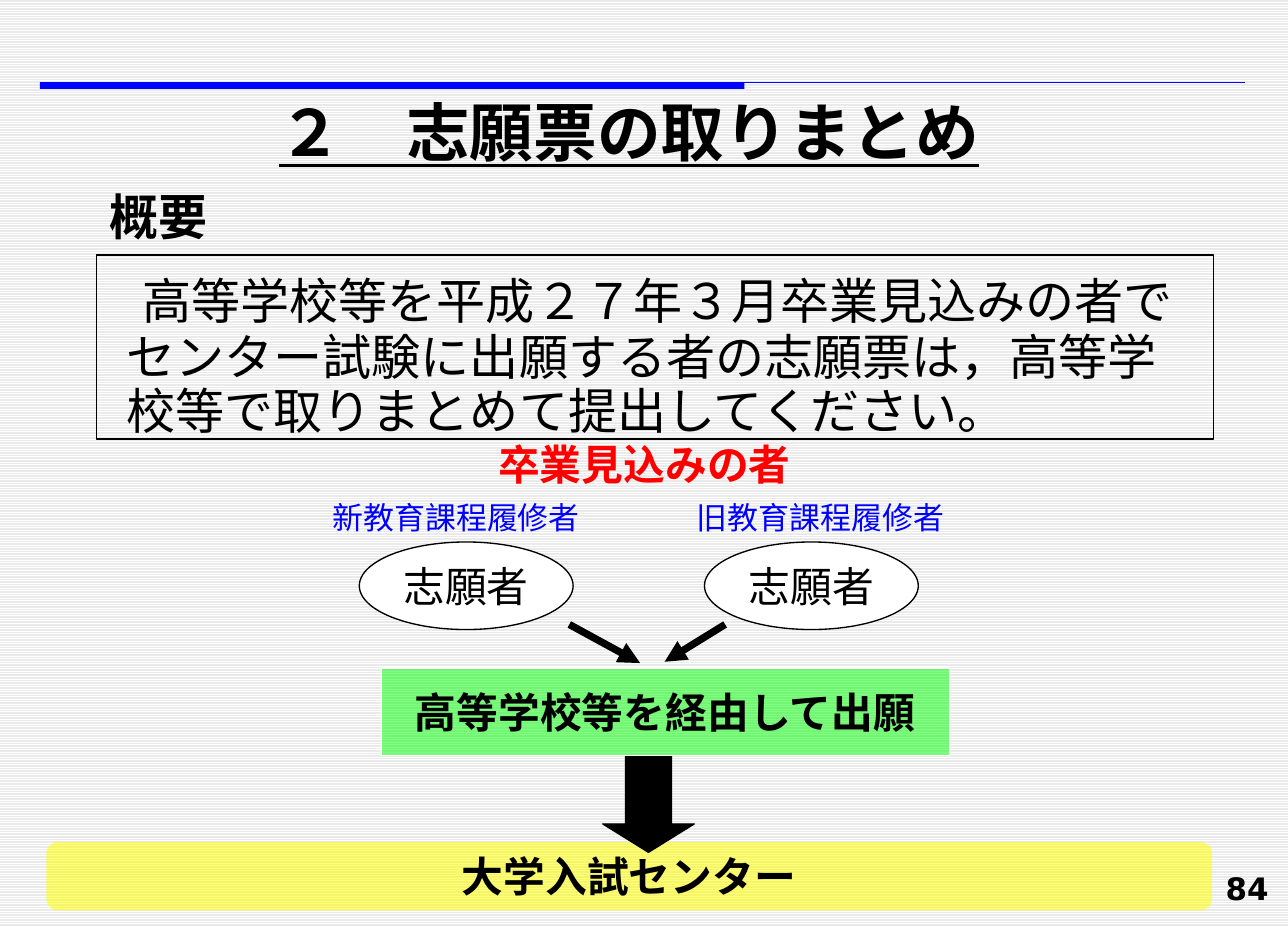
from dataclasses import dataclass

from lxml.etree import SubElement
from pptx import Presentation
from pptx.dml.color import RGBColor
from pptx.enum.dml import MSO_PATTERN
from pptx.enum.shapes import MSO_CONNECTOR, MSO_SHAPE as Geometry
from pptx.enum.text import MSO_ANCHOR as Anchor, MSO_AUTO_SIZE, PP_ALIGN as Align
from pptx.oxml.ns import qn
from pptx.util import Emu, Pt

PX = 9000
GOTHIC = "Noto Sans CJK JP"
BLACK, WHITE, BLUE, RED = "000000", "FFFFFF", "0000FF", "FF0000"


@dataclass
class Box:
    """Place and size in px."""
    left: int
    top: int
    width: int
    height: int

    def emu(self) -> list[Emu]:
        """Return the four lengths in EMU."""
        return [Emu(n * PX) for n in (self.left, self.top, self.width, self.height)]


@dataclass
class Words:
    """One run of text and its format."""
    text: str
    size: int
    color: str = BLACK
    bold: bool = False
    font: str = GOTHIC
    underline: bool = False


@dataclass
class Label:
    """Free-standing text."""
    box: Box
    words: Words
    align: Align = Align.LEFT


@dataclass
class Node:
    """Preset shape of the flow."""
    geometry: Geometry
    box: Box
    fill: str | None = None
    line: str | None = None
    words: Words | None = None
    opacity: int = 100


@dataclass
class Stroke:
    """Straight line, with or without an arrowhead."""
    start: tuple[int, int]
    end: tuple[int, int]
    color: str
    width: float
    arrow: bool = False


def rgb(color: str) -> RGBColor:
    """Turn a hex string into a colour."""
    return RGBColor.from_string(color)


def add_run(paragraph, words: Words) -> None:
    """Append one formatted run."""
    run = paragraph.add_run()
    run.text = words.text
    font = run.font
    font.size, font.name = Pt(words.size), words.font
    font.bold, font.underline = words.bold, words.underline
    font.color.rgb = rgb(words.color)
    SubElement(run._r.get_or_add_rPr(), qn("a:ea"), typeface=GOTHIC)


def set_frame(frame, align: Align, anchor: Anchor = Anchor.MIDDLE, wrap: bool = True):
    """Prepare a text frame and return its first paragraph."""
    frame.word_wrap = wrap
    frame.auto_size = MSO_AUTO_SIZE.NONE
    frame.vertical_anchor = anchor
    paragraph = frame.paragraphs[0]
    paragraph.alignment = align
    return paragraph


def place(shape, box: Box) -> None:
    """Move a placeholder."""
    shape.left, shape.top, shape.width, shape.height = box.emu()


def add_label(slide, label: Label) -> None:
    """Draw a text box."""
    frame = slide.shapes.add_textbox(*label.box.emu()).text_frame
    add_run(set_frame(frame, label.align), label.words)


def add_node(slide, node: Node):
    """Draw a preset shape and return it."""
    shape = slide.shapes.add_shape(node.geometry, *node.box.emu())
    shape.shadow.inherit = False
    if node.fill:
        shape.fill.solid()
        shape.fill.fore_color.rgb = rgb(node.fill)
        if node.opacity < 100:
            tint = shape._element.spPr.find(f"{qn('a:solidFill')}/{qn('a:srgbClr')}")
            SubElement(tint, qn("a:alpha"), val=str(node.opacity * 1000))
    else:
        shape.fill.background()
    if node.line:
        shape.line.color.rgb = rgb(node.line)
        shape.line.width = Pt(0.75)
    else:
        shape.line.fill.background()
    if node.words:
        add_run(set_frame(shape.text_frame, Align.CENTER, wrap=False), node.words)
    return shape


def add_stroke(slide, stroke: Stroke) -> None:
    """Draw a straight connector."""
    ends = [Emu(n * PX) for n in (*stroke.start, *stroke.end)]
    connector = slide.shapes.add_connector(MSO_CONNECTOR.STRAIGHT, *ends)
    connector.line.color.rgb = rgb(stroke.color)
    connector.line.width = Pt(stroke.width)
    if stroke.arrow:
        SubElement(connector.line._get_or_add_ln(), qn("a:tailEnd"), type="triangle")
    SubElement(connector._element.spPr, qn("a:effectLst"))


def fill_placeholders(slide) -> None:
    """Write the title and the summary."""
    title, summary = slide.shapes.title, slide.placeholders[1]
    place(title, Box(51, 66, 875, 71))
    heading = set_frame(title.text_frame, Align.CENTER)
    add_run(heading, Words("２　志願票の取りまとめ", 35, bold=True, underline=True))

    place(summary, Box(51, 211, 875, 127))
    paragraph = set_frame(summary.text_frame, Align.LEFT, Anchor.TOP)
    properties = paragraph._p.get_or_add_pPr()
    properties.set("marL", str(37 * PX))
    properties.set("indent", str(-37 * PX))
    SubElement(properties, qn("a:buNone"))
    paragraph.line_spacing, paragraph.space_before = Pt(29.5), Pt(0)
    add_run(paragraph, Words("　", 35, font="Arial"))
    add_run(paragraph, Words("高等学校等を平成２７年３月卒業見込みの者でセンター試験に出願する者の志願票は，"
                             "高等学校等で取りまとめて提出してください。", 27))


def main() -> None:
    """Build the slide and save it."""
    deck = Presentation()
    deck.slide_width, deck.slide_height = Emu(1000 * PX), Emu(720 * PX)
    slide = deck.slides.add_slide(deck.slide_layouts[1])
    backdrop = slide.background.fill
    backdrop.patterned()
    backdrop.pattern = MSO_PATTERN.LIGHT_HORIZONTAL
    backdrop.fore_color.rgb, backdrop.back_color.rgb = rgb(WHITE), rgb("EAEAEA")

    add_stroke(slide, Stroke((31, 64), (967, 64), BLUE, 0.75))
    add_node(slide, Node(Geometry.RECTANGLE, Box(31, 64, 547, 5), BLUE))
    fill_placeholders(slide)

    applicant = Words("志願者", 23, font="Arial")
    route = Words("高等学校等を経由して出願", 23, bold=True, font="Arial")
    center = Words("大学入試センター", 23, bold=True)
    for node in (
        Node(Geometry.RECTANGLE, Box(75, 198, 867, 143), line=BLACK),
        Node(Geometry.FLOWCHART_ALTERNATE_PROCESS, Box(36, 654, 905, 53), "FFFF00",
             words=center, opacity=54),
        Node(Geometry.OVAL, Box(279, 421, 166, 68), WHITE, BLACK, applicant),
        Node(Geometry.OVAL, Box(547, 421, 166, 68), WHITE, BLACK, applicant),
    ):
        add_node(slide, node)
    for start, end in (((442, 485), (497, 515)), ((563, 485), (516, 514))):
        add_stroke(slide, Stroke(start, end, BLACK, 4, arrow=True))
    submission = add_node(slide, Node(Geometry.DOWN_ARROW, Box(468, 587, 71, 75), BLACK, BLACK))
    submission.adjustments[0], submission.adjustments[1] = 0.5, 0.31
    add_node(slide, Node(Geometry.RECTANGLE, Box(296, 519, 441, 68), "00FF00", WHITE, route, 50))

    for label in (
        Label(Box(75, 138, 489, 60), Words("概要", 27, bold=True)),
        Label(Box(256, 330, 489, 60), Words("卒業見込みの者", 23, RED, True), Align.CENTER),
        Label(Box(248, 382, 237, 39), Words("新教育課程履修者", 17, BLUE)),
        Label(Box(531, 382, 237, 39), Words("旧教育課程履修者", 17, BLUE)),
        Label(Box(779, 670, 216, 39), Words("84", 17, bold=True, font="DejaVu Sans"), Align.RIGHT),
    ):
        add_label(slide, label)
    deck.save("out.pptx")


if __name__ == "__main__":
    main()
